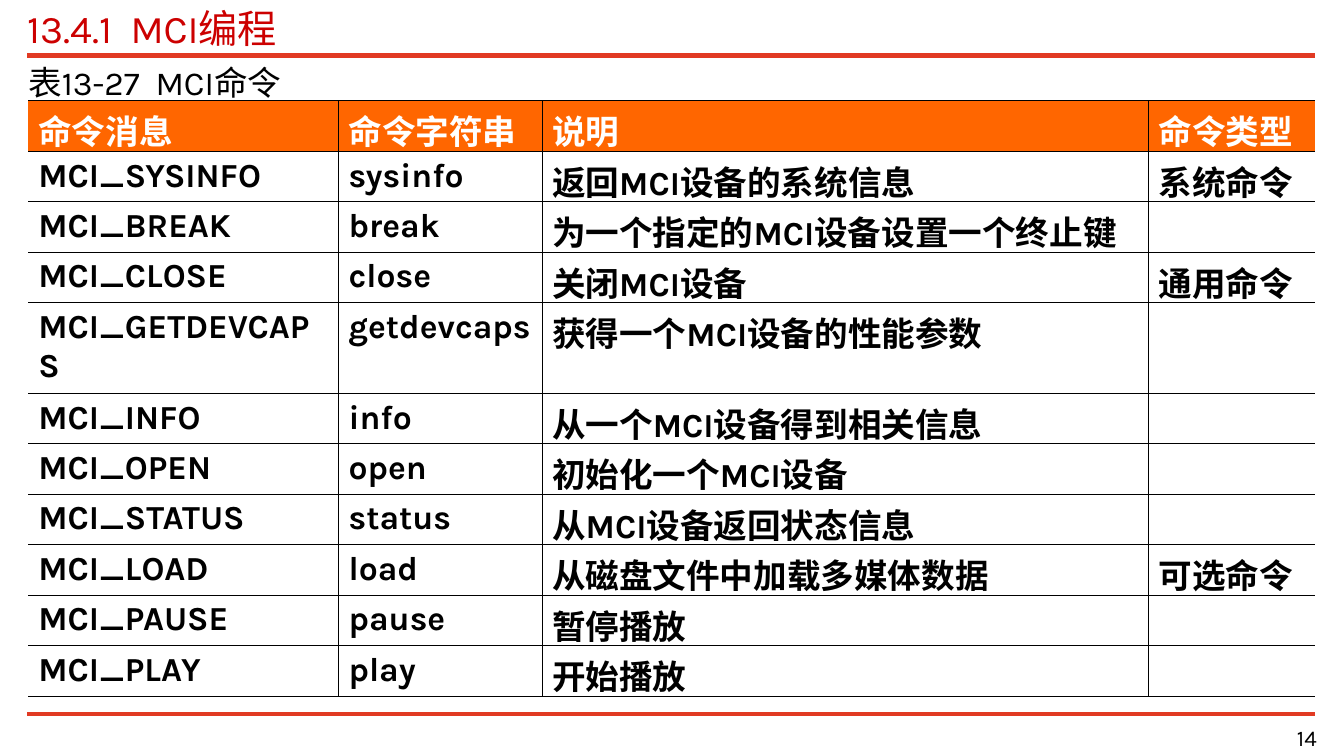
from lxml import etree
from pptx import Presentation
from pptx.dml.color import RGBColor
from pptx.enum.shapes import MSO_CONNECTOR
from pptx.enum.text import MSO_ANCHOR, PP_ALIGN
from pptx.oxml.ns import qn
from pptx.util import Inches, Pt

STRAIGHT = MSO_CONNECTOR.STRAIGHT
MIDDLE = MSO_ANCHOR.MIDDLE
LEFT, RIGHT = PP_ALIGN.LEFT, PP_ALIGN.RIGHT

COLORS = {
    "rule": "E13A23",
    "title": "CC0000",
    "header": "FF6600",
    "white": "FFFFFF",
    "black": "000000",
}
COLUMN_WIDTHS = [3.08, 2.02, 6.02, 1.65]
ROW_HEIGHT = 0.5
WRAPPED_ROW_HEIGHT = 0.9
WRAPPED_COMMAND = "MCI_GETDEVCAPS"
THIN, THICK = 0.45, 0.62
COMMANDS = [
    ("命令消息", "命令字符串", "说明", "命令类型"),
    ("MCI_SYSINFO", "sysinfo", "返回MCI设备的系统信息", "系统命令"),
    ("MCI_BREAK", "break", "为一个指定的MCI设备设置一个终止键", ""),
    ("MCI_CLOSE", "close", "关闭MCI设备", "通用命令"),
    ("MCI_GETDEVCAPS", "getdevcaps", "获得一个MCI设备的性能参数", ""),
    ("MCI_INFO", "info", "从一个MCI设备得到相关信息", ""),
    ("MCI_OPEN", "open", "初始化一个MCI设备", ""),
    ("MCI_STATUS", "status", "从MCI设备返回状态信息", ""),
    ("MCI_LOAD", "load", "从磁盘文件中加载多媒体数据", "可选命令"),
    ("MCI_PAUSE", "pause", "暂停播放", ""),
    ("MCI_PLAY", "play", "开始播放", ""),
]


def color(name):
    return RGBColor.from_string(COLORS[name])


def write(frame, text, size=24, ink="black", bold=False, align=LEFT):
    para = frame.paragraphs[0]
    para.alignment = align
    para.font.size = Pt(size)
    if text:
        span = para.add_run()
        span.text = text
        span.font.name = "Karla"
        span.font.size = Pt(size)
        span.font.bold = bold
        span.font.color.rgb = color(ink)


class SlideBuilder:
    """Holds the style and the current slide."""

    def __init__(self, page):
        self.page = page

    def rule(self, top, weight):
        line = self.page.shapes.add_connector(
            STRAIGHT, Inches(0.27), Inches(top), Inches(13.05), Inches(top))
        line.line.color.rgb = color("rule")
        line.line.width = Pt(weight)
        etree.SubElement(line._element.spPr, qn("a:effectLst"))

    def text(self, left, top, width, height, text, **style):
        box = self.page.shapes.add_textbox(
            Inches(left), Inches(top), Inches(width), Inches(height))
        frame = box.text_frame
        frame.word_wrap = True
        frame.vertical_anchor = MIDDLE
        frame.margin_left = frame.margin_right = 0
        frame.margin_top = frame.margin_bottom = 0
        write(frame, text, **style)

    def borders(self, cell, widths):
        properties = cell._tc.get_or_add_tcPr()
        for index, (side, width) in enumerate(widths.items()):
            line = etree.Element(qn(f"a:ln{side}"), w=str(Pt(width)))
            if width:
                fill = etree.SubElement(line, qn("a:solidFill"))
                etree.SubElement(fill, qn("a:srgbClr"), val=COLORS["black"])
            else:
                etree.SubElement(line, qn("a:noFill"))
            properties.insert(index, line)

    def table(self, left, top, rows):
        heights = [WRAPPED_ROW_HEIGHT if row[0] == WRAPPED_COMMAND else ROW_HEIGHT
                   for row in rows]
        grid = self.page.shapes.add_table(
            len(rows), len(COLUMN_WIDTHS), Inches(left), Inches(top),
            Inches(sum(COLUMN_WIDTHS)), Inches(sum(heights))).table
        grid.first_row = grid.horz_banding = False
        for column, width in zip(grid.columns, COLUMN_WIDTHS):
            column.width = Inches(width)
        last_row, last_column = len(rows) - 1, len(COLUMN_WIDTHS) - 1
        for r, row in enumerate(rows):
            grid.rows[r].height = Inches(heights[r])
            for c, text in enumerate(row):
                cell = grid.cell(r, c)
                write(cell.text_frame, text, bold=True,
                      ink="black" if r else "white")
                if r:
                    cell.fill.background()
                else:
                    cell.fill.solid()
                    cell.fill.fore_color.rgb = color("header")
                self.borders(cell, {
                    "L": THIN if c else 0,
                    "R": THIN if c < last_column else 0,
                    "T": THICK if r <= 1 else THIN,
                    "B": THICK if r in (0, last_row) else THIN,
                })


def main():
    deck = Presentation()
    deck.slide_width, deck.slide_height = Inches(13.34), Inches(7.5)
    slide = SlideBuilder(deck.slides.add_slide(deck.slide_layouts[6]))
    slide.rule(0.55, 4)
    slide.rule(7.08, 3)
    slide.text(0.27, 0.04, 12.78, 0.47, "13.4.1  MCI编程", size=28, ink="title")
    slide.text(0.28, 0.61, 12.78, 0.4, "表13-27  MCI命令")
    slide.table(0.28, 1, COMMANDS)
    slide.text(10.39, 7.16, 2.68, 0.31, "14", size=16, align=RIGHT)
    deck.save("out.pptx")


if __name__ == "__main__":
    main()
